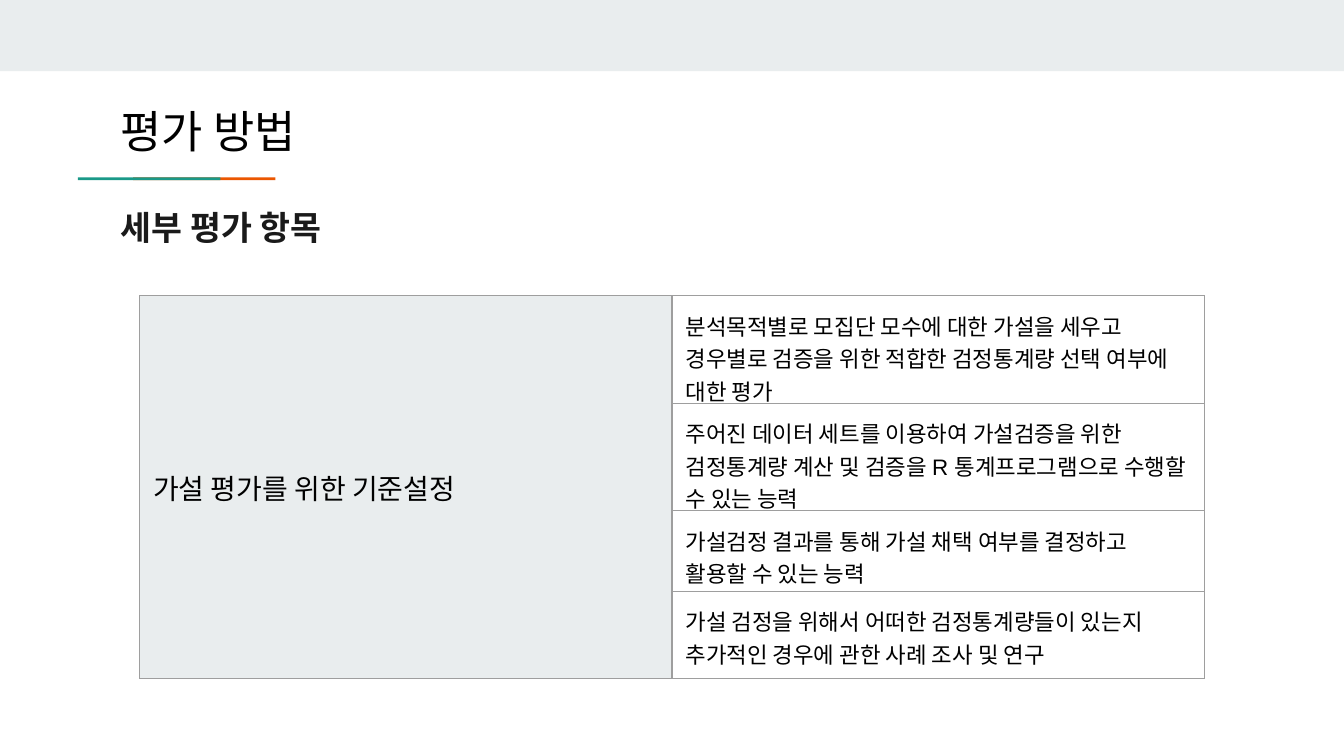
"""Build the evaluation method slide with its criteria table."""
from dataclasses import dataclass

import lxml.etree
import pptx
import pptx.dml.color
import pptx.enum.shapes
import pptx.enum.text
import pptx.oxml.ns
import pptx.util

Inches = pptx.util.Inches
qn = pptx.oxml.ns.qn

COLORS = {
    "band": "E9EDEE",
    "orange": "EB5600",
    "teal": "1A9988",
    "ink": "1A1A1A",
    "black": "000000",
    "border": "9E9E9E",
}


@dataclass(frozen=True)
class Bar:
    left: float
    top: float
    width: float
    height: float
    color: str


@dataclass(frozen=True)
class Style:
    size: float
    font: str
    color: str = "black"
    bold: bool = False


@dataclass(frozen=True)
class Heading:
    text: str
    left: float
    top: float
    width: float
    height: float
    style: Style


BARS = [
    Bar(0, 0, 10, 0.53, "band"),
    Bar(0.99, 1.32, 1.06, 0.02, "orange"),
    Bar(0.58, 1.32, 1.06, 0.02, "teal"),
]
HEADINGS = [
    Heading("세부 평가 항목", 0.8, 1.44, 8.41, 0.59, Style(18, "Manrope", "ink", True)),
    Heading("평가 방법", 0.8, 0.67, 3.28, 0.61, Style(24, "Lato")),
]
CATEGORY = "가설 평가를 위한 기준설정"
CRITERIA = [
    "분석목적별로 모집단 모수에 대한 가설을 세우고 경우별로 검증을 위한 적합한 검정통계량 선택 여부에 대한 평가",
    "주어진 데이터 세트를 이용하여 가설검증을 위한 검정통계량 계산 및 검증을 R 통계프로그램으로 수행할 수 있는 능력",
    "가설검정 결과를 통해 가설 채택 여부를 결정하고 활용할 수 있는 능력",
    "가설 검정을 위해서 어떠한 검정통계량들이 있는지 추가적인 경우에 관한 사례 조사 및 연구",
]
ROW_HEIGHTS = [0.8, 0.8, 0.6, 0.26, 0.26, 0.13]
COLUMN_WIDTH = 3.96
INSET = 0.1


def rgb(name: str) -> pptx.dml.color.RGBColor:
    """Return the named colour."""
    return pptx.dml.color.RGBColor.from_string(COLORS[name])


def write(frame, text: str, style: Style) -> None:
    """Put styled text in a text frame."""
    frame.text = text
    for run in frame.paragraphs[0].runs:
        run.font.size = pptx.util.Pt(style.size)
        run.font.name = style.font
        run.font.bold = style.bold
        run.font.color.rgb = rgb(style.color)


def draw_bar(slide, bar: Bar) -> None:
    """Draw a plain filled rectangle."""
    shape = slide.shapes.add_shape(
        pptx.enum.shapes.MSO_SHAPE.RECTANGLE,
        Inches(bar.left), Inches(bar.top), Inches(bar.width), Inches(bar.height),
    )
    shape.shadow.inherit = False
    shape.fill.solid()
    shape.fill.fore_color.rgb = rgb(bar.color)
    shape.line.fill.background()


def draw_heading(slide, heading: Heading) -> None:
    """Draw a wrapped heading with even insets."""
    box = slide.shapes.add_textbox(
        Inches(heading.left), Inches(heading.top),
        Inches(heading.width), Inches(heading.height),
    )
    frame = box.text_frame
    frame.word_wrap = True
    frame.margin_left = frame.margin_right = Inches(INSET)
    frame.margin_top = frame.margin_bottom = Inches(INSET)
    write(frame, heading.text, heading.style)


def format_cell(cell) -> None:
    """Give a cell grey borders, even insets and no fill."""
    cell.margin_left = cell.margin_right = Inches(INSET)
    cell.margin_top = cell.margin_bottom = Inches(INSET)
    properties = cell._tc.get_or_add_tcPr()
    for side in ("lnL", "lnR", "lnT", "lnB"):
        border = lxml.etree.SubElement(
            properties, qn(f"a:{side}"), w=str(pptx.util.Pt(0.75))
        )
        fill = lxml.etree.SubElement(border, qn("a:solidFill"))
        lxml.etree.SubElement(fill, qn("a:srgbClr"), val=COLORS["border"])
    cell.fill.background()


def draw_criteria(slide) -> None:
    """Draw the category beside its criteria."""
    table = slide.shapes.add_table(
        len(ROW_HEIGHTS), 2, Inches(1.04), Inches(2.2),
        Inches(2 * COLUMN_WIDTH), Inches(sum(ROW_HEIGHTS)),
    ).table
    table.first_row = table.horz_banding = False
    for column in table.columns:
        column.width = Inches(COLUMN_WIDTH)
    for row, height in zip(table.rows, ROW_HEIGHTS):
        row.height = Inches(height)
    for cell in table.iter_cells():
        format_cell(cell)

    last_row = len(ROW_HEIGHTS) - 1
    category = table.cell(0, 0)
    category.merge(table.cell(last_row, 0))
    table.cell(len(CRITERIA) - 1, 1).merge(table.cell(last_row, 1))
    category.fill.solid()
    category.fill.fore_color.rgb = rgb("band")
    category.vertical_anchor = pptx.enum.text.MSO_ANCHOR.MIDDLE
    write(category.text_frame, CATEGORY, Style(15, "Arial"))
    for index, criterion in enumerate(CRITERIA):
        write(table.cell(index, 1).text_frame, criterion, Style(12, "Arial"))


def main() -> None:
    """Build and save the slide."""
    presentation = pptx.Presentation()
    presentation.slide_width = Inches(10)
    presentation.slide_height = presentation.slide_width * 9 // 16
    slide = presentation.slides.add_slide(presentation.slide_layouts[6])
    for bar in BARS:
        draw_bar(slide, bar)
    for heading in HEADINGS:
        draw_heading(slide, heading)
    draw_criteria(slide)
    presentation.save("out.pptx")


if __name__ == "__main__":
    main()
